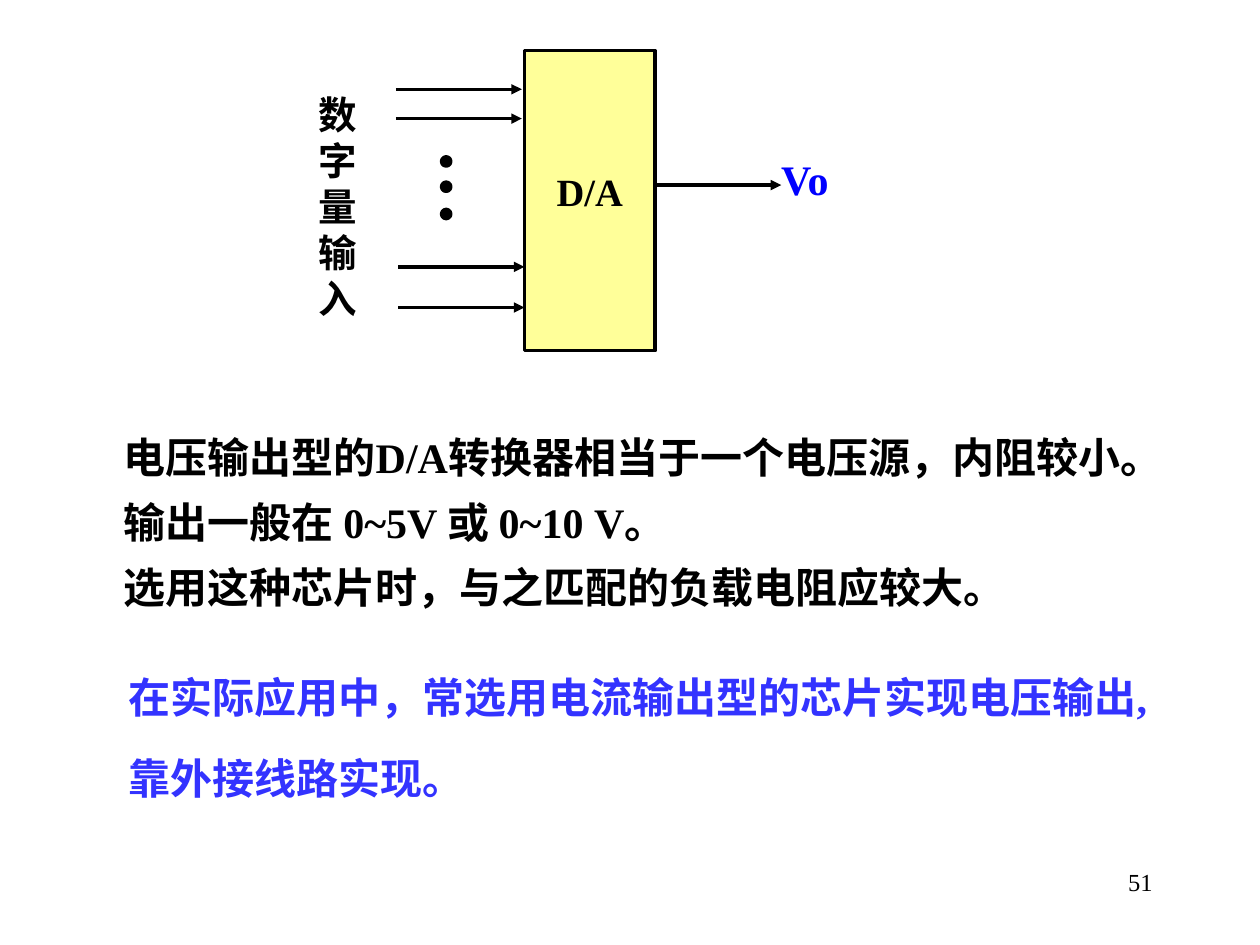
import pptx
import pptx.util
import pptx.dml.color
import pptx.enum.shapes
import pptx.enum.text
import pptx.oxml.ns
import lxml.etree

Cm = pptx.util.Cm
Pt = pptx.util.Pt
Shape = pptx.enum.shapes.MSO_SHAPE
Align = pptx.enum.text.PP_ALIGN
Anchor = pptx.enum.text.MSO_ANCHOR
qn = pptx.oxml.ns.qn

HUES = {"ink": "000000", "chip": "FFFF99", "out": "0000FF", "note": "3333FF"}
LATIN = "Times New Roman"
HAN = "Noto Sans CJK SC"


def hue(name):
    return pptx.dml.color.RGBColor.from_string(HUES[name])


def style(run, size, color, bold=True):
    font = run.font
    font.size = Pt(size)
    font.bold = bold
    font.name = LATIN
    font.color.rgb = hue(color)
    east = lxml.etree.SubElement(run._r.get_or_add_rPr(), qn("a:ea"))
    east.set("typeface", HAN)


def write(frame, lines, size, color, align=Align.LEFT, bold=True, pitch=None, gap=0):
    frame.word_wrap = True
    frame.auto_size = pptx.enum.text.MSO_AUTO_SIZE.NONE
    frame.text = "\n".join(lines)
    for para in frame.paragraphs:
        para.alignment = align
        para.space_before = Pt(0)
        para.space_after = Pt(gap)
        if pitch:
            para.line_spacing = Pt(pitch)
        for run in para.runs:
            style(run, size, color, bold)


def label(slide, box, lines, size, color, inset=0, **looks):
    frame = slide.shapes.add_textbox(*map(Cm, box)).text_frame
    frame.margin_left = frame.margin_right = Cm(inset)
    frame.margin_top = frame.margin_bottom = Cm(inset / 2)
    write(frame, lines, size, color, **looks)


def solid(slide, kind, box, fill, width):
    shape = slide.shapes.add_shape(kind, *map(Cm, box))
    shape.shadow.inherit = False
    shape.fill.solid()
    shape.fill.fore_color.rgb = hue(fill)
    shape.line.color.rgb = hue("ink")
    shape.line.width = Pt(width)
    return shape


def arrow(slide, left, top, length=2.54):
    kind = pptx.enum.shapes.MSO_CONNECTOR.STRAIGHT
    line = slide.shapes.add_connector(kind, Cm(left), Cm(top), Cm(left + length), Cm(top))
    line.line.color.rgb = hue("ink")
    line.line.width = Pt(2)
    tip = lxml.etree.SubElement(line.line._get_or_add_ln(), qn("a:tailEnd"))
    tip.set("type", "triangle")
    lxml.etree.SubElement(line._element.spPr, qn("a:effectLst"))


def diagram(slide, left, top, width, height):
    label(slide, (left, top + 0.81, 1.22, 4.8), list("数字量输入"), 22, "ink", pitch=26.3)

    chip = solid(slide, Shape.RECTANGLE, (left + 4.14, top, 2.64, height), "chip", 2)
    frame = chip.text_frame
    frame.vertical_anchor = Anchor.MIDDLE
    frame.margin_bottom = Cm(0.5)
    write(frame, ["D/A"], 22, "ink", align=Align.CENTER)

    for x, y in ((1.55, 0.78), (1.55, 1.37), (1.6, 4.36), (1.6, 5.18)):
        arrow(slide, left + x, top + y)
    for y in (2.16, 2.67, 3.22):
        solid(slide, Shape.OVAL, (left + 2.49, top + y, 0.15, 0.15), "ink", 3)

    arrow(slide, left + 6.78, top + 2.71)
    label(slide, (left + width - 1.37, top + 2.08, 1.37, 1.22), ["Vo"], 24, "out")


def body(holder, box, lines, color, pitch, gap=0):
    holder.left, holder.top, holder.width, holder.height = map(Cm, box)
    frame = holder.text_frame
    frame.vertical_anchor = Anchor.TOP
    frame.text = "\n".join(lines)
    write(frame, lines, 24, color, pitch=pitch, gap=gap)
    for para in frame.paragraphs:
        props = para._p.get_or_add_pPr()
        props.set("marL", "0")
        props.set("indent", "0")
        lxml.etree.SubElement(props, qn("a:buNone"))


def main():
    deck = pptx.Presentation()
    deck.slide_width, deck.slide_height = Cm(25.4), Cm(19.05)
    slide = deck.slides.add_slide(deck.slide_layouts[3])
    title = slide.shapes.title._element
    title.getparent().remove(title)

    diagram(slide, 6.43, 1.02, 10.69, 6.05)
    facts = [
        "电压输出型的D/A转换器相当于一个电压源，内阻较小。",
        "输出一般在 0~5V 或 0~10 V。",
        "选用这种芯片时，与之匹配的负载电阻应较大。",
    ]
    body(slide.placeholders[1], (2.24, 8.28, 22.4, 4.2), facts, "ink", 37.2)
    advice = ["在实际应用中，常选用电流输出型的芯片实现电压输出,", "靠外接线路实现。"]
    body(slide.placeholders[2], (2.34, 13.34, 22.2, 3.4), advice, "note", 31, 15)
    label(slide, (18.21, 17.35, 5.28, 1.27), ["51"], 14, "ink", inset=0.25,
          align=Align.RIGHT, bold=False)
    deck.save("out.pptx")


if __name__ == "__main__":
    main()
